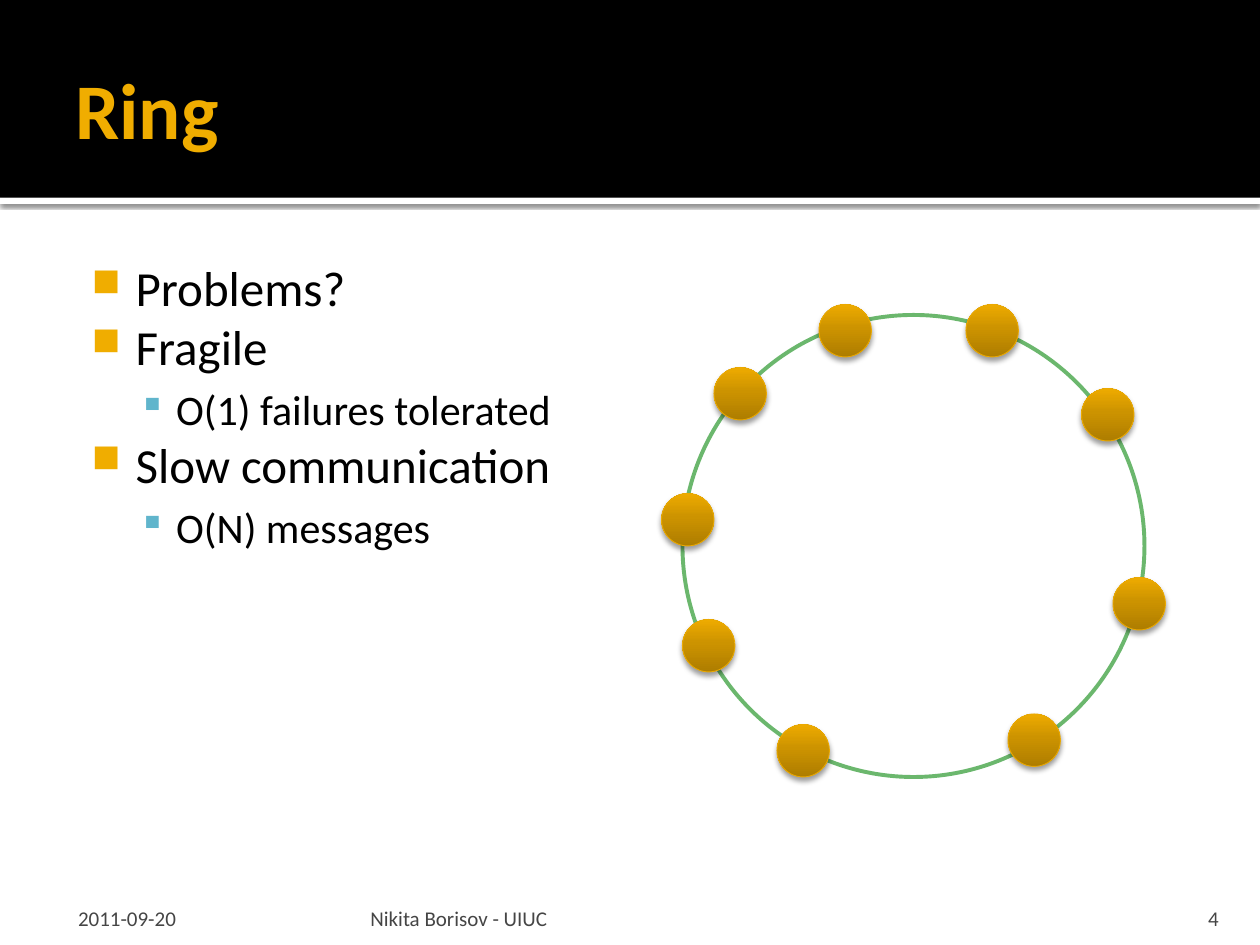
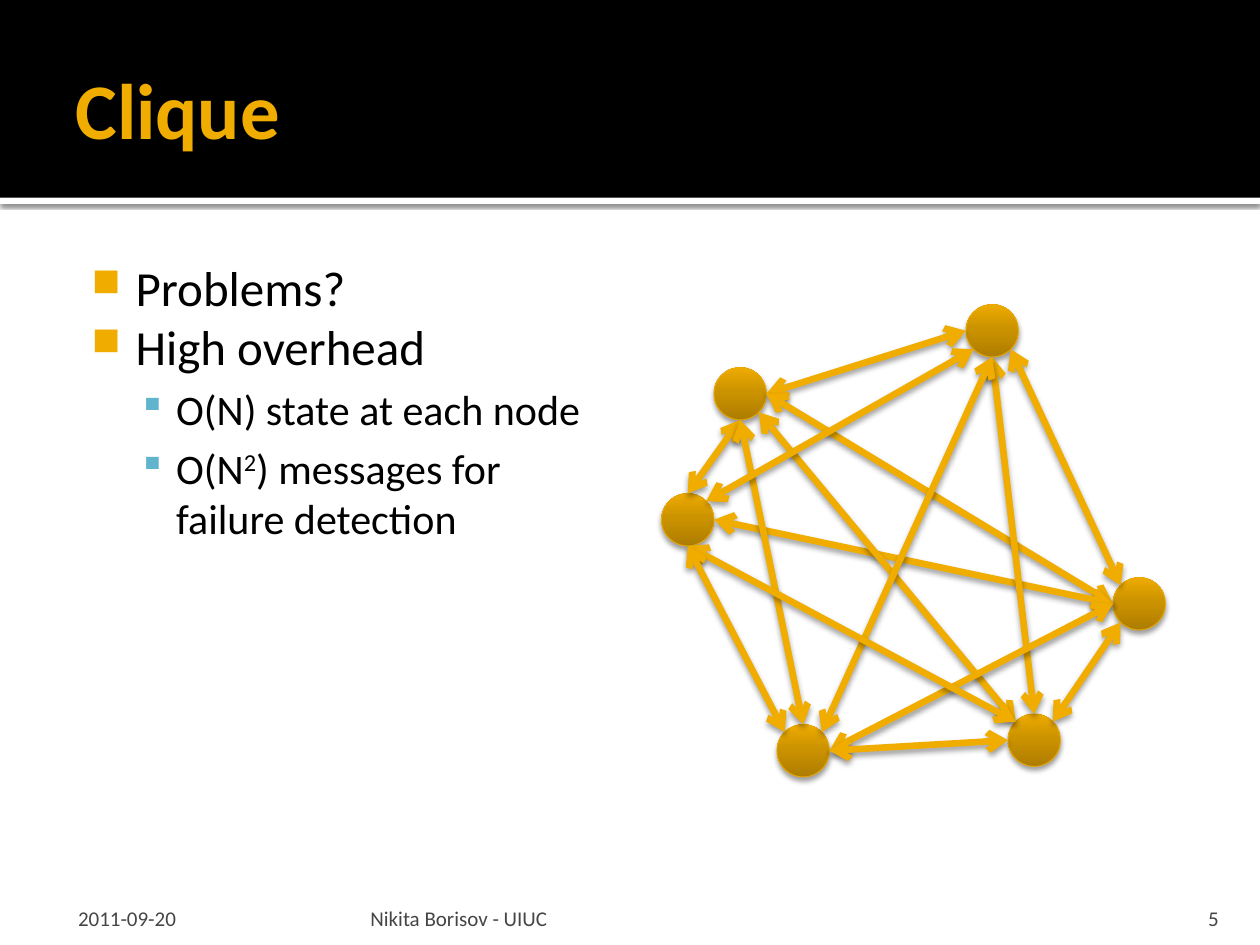
"""Build two slides on group topologies: a ring and a clique."""
import math
from dataclasses import dataclass

from lxml import etree
from pptx import Presentation
from pptx import util as u
from pptx.dml import color as col
from pptx.enum import shapes as sh, text as tx
from pptx.oxml import ns

Pt = u.Pt


@dataclass(frozen=True)
class Theme:
    font: str = "Calibri"
    gold: str = "F0AD00"
    blue: str = "60B5CC"
    green: str = "6BB76D"
    black: str = "000000"
    white: str = "FFFFFF"
    gray: str = "454545"
    rim: str = "EBA900"
    shade: tuple = ((0, "AE7D00"), (55, "CC9300"), (100, "EEAB00"))
    title: int = 45
    foot: int = 12
    link: float = 3.78
    ring: float = 2.25
    edge: float = 0.5


T = Theme()

SIZE = (720, 540)
BAND = (0, 0, 720, 113)
STRIP = (0, 113, 720, 3.6)
TITLE = (36, 12, 648, 99)
BODY = (36, 140, 318, 364)
RING = (390, 180, 264, 264)
NODE = 30

LEVELS = [
    dict(size=28, left=34.5, hang=25.2, gap=0, mark="■", tint=T.gold, scale=80),
    dict(size=24, left=57.6, hang=21.6, gap=4.8, mark="▪", tint=T.blue, scale=90),
]

FOOT = [
    ("2011-09-20", (36, 510, 168, 21.6), (8.6, 3.6, 3.6, 0), tx.PP_ALIGN.LEFT),
    ("Nikita Borisov - UIUC", (208, 510, 433, 21.6), (3.6, 3.6, 3.6, 0), tx.PP_ALIGN.LEFT),
    ("{page}", (646, 510, 57.6, 21.6), (7.2, 3.6, 7.2, 0), tx.PP_ALIGN.RIGHT),
]

NODES = {
    "A": (408, 210), "B": (468, 174), "C": (552, 174),
    "D": (618, 222), "E": (636, 330), "F": (576, 408),
    "G": (378, 282), "H": (390, 354), "I": (444, 414),
}

SITES = ("e", "se", "s", "sw", "w", "nw", "n", "ne")

LINKS = [
    "A.e C.w", "A.e E.w", "G.e E.w", "A.s G.n", "A.se F.nw",
    "A.s I.n", "C.se E.nw", "C.s F.n", "C.s I.ne", "C.sw G.ne",
    "E.sw F.ne", "E.w I.e", "F.w I.e", "F.nw G.s", "I.nw G.s",
]

SLIDES = [
    dict(page=4, title="Ring", nodes="ABCDEFGHI", ring=True, links=[], points=[
        (0, "Problems?"),
        (0, "Fragile"),
        (1, "O(1) failures tolerated"),
        (0, "Slow communication"),
        (1, "O(N) messages"),
    ]),
    dict(page=5, title="Clique", nodes="ACEFGI", ring=False, links=LINKS, points=[
        (0, "Problems?"),
        (0, "High overhead"),
        (1, "O(N) state at each node"),
        (1, "O(N|2|) messages for failure detection"),
    ]),
]


def rgb(tint):
    return col.RGBColor.from_string(tint)


def pts(box):
    return [Pt(v) for v in box]


def sub(node, tag, **attrs):
    kid = etree.SubElement(node, ns.qn("a:" + tag))
    for key, val in attrs.items():
        kid.set(key, str(val))
    return kid


def cast(props, alpha, blur, dist):
    """Add a soft shadow that falls straight down."""
    for old in props.findall(ns.qn("a:effectLst")):
        props.remove(old)
    drop = sub(sub(props, "effectLst"), "outerShdw", blurRad=Pt(blur), dist=Pt(dist),
               dir=90 * 60000, algn="ctr", rotWithShape=0)
    sub(sub(drop, "srgbClr", val=T.black), "alpha", val=alpha * 1000)


def form(slide, kind, box, fill=None, line=None, width=0):
    item = slide.shapes.add_shape(kind, *pts(box))
    item.shadow.inherit = False
    if fill:
        item.fill.solid()
        item.fill.fore_color.rgb = rgb(fill)
    else:
        item.fill.background()
    if line:
        item.line.color.rgb = rgb(line)
        item.line.width = Pt(width)
    else:
        item.line.fill.background()
    return item


def frame(slide, box, pads, anchor):
    area = slide.shapes.add_textbox(*pts(box)).text_frame
    area.word_wrap = True
    area.vertical_anchor = anchor
    (area.margin_left, area.margin_top,
     area.margin_right, area.margin_bottom) = pts(pads)
    return area


def style(para, size, tint, bold=False):
    for run in para.runs:
        run.font.name = T.font
        run.font.size = Pt(size)
        run.font.bold = bold
        run.font.color.rgb = rgb(tint)


def base(slide, title, page):
    """Draw the band, the title and the footers."""
    rect = sh.MSO_SHAPE.RECTANGLE
    cast(form(slide, rect, STRIP, T.white).element.spPr, 60, 2.5, 0.8)
    form(slide, rect, BAND, T.black)
    area = frame(slide, TITLE, (7.2, 3.6, 3.6, 3.6), tx.MSO_ANCHOR.MIDDLE)
    area.text = title
    style(area.paragraphs[0], T.title, T.gold, True)
    for words, box, pads, align in FOOT:
        area = frame(slide, box, pads, tx.MSO_ANCHOR.BOTTOM)
        area.text = words.format(page=page)
        para = area.paragraphs[0]
        para.alignment = align
        style(para, T.foot, T.gray)


def bullets(slide, points):
    area = frame(slide, BODY, (7.2, 7.2, 7.2, 3.6), tx.MSO_ANCHOR.TOP)
    for num, (depth, words) in enumerate(points):
        look = LEVELS[depth]
        para = area.add_paragraph() if num else area.paragraphs[0]
        para.level = depth
        para.space_before = Pt(look["gap"])
        parts = words.split("|")
        para.text = parts[0]
        for part in parts[1:]:
            para.add_run().text = part
        style(para, look["size"], T.black)
        for run in para.runs[1::2]:
            run.font._element.set("baseline", "30000")
        props = para._p.get_or_add_pPr()
        props.set("marL", str(Pt(look["left"])))
        props.set("indent", str(-Pt(look["hang"])))
        sub(sub(props, "buClr"), "srgbClr", val=look["tint"])
        sub(props, "buSzPct", val=look["scale"] * 1000)
        sub(props, "buChar", char=look["mark"])


def ball(slide, spot):
    item = form(slide, sh.MSO_SHAPE.OVAL, (*spot, NODE, NODE), None, T.rim, T.edge)
    item.fill.gradient()
    item.fill.gradient_angle = 90
    props = item.element.spPr
    stops = props.find(".//" + ns.qn("a:gsLst"))
    for old in list(stops):
        stops.remove(old)
    for place, tint in T.shade:
        sub(sub(stops, "gs", pos=place * 1000), "srgbClr", val=tint)
    cast(props, 38, 3.1, 2)


def site(end):
    """Return the point on a node's rim, such as "A.se"."""
    name, side = end.split(".")
    turn = math.radians(45 * SITES.index(side))
    left, top = NODES[name]
    half = NODE / 2
    return left + half + half * math.cos(turn), top + half + half * math.sin(turn)


def join(slide, link):
    start, stop = map(site, link.split())
    line = slide.shapes.add_connector(sh.MSO_CONNECTOR.STRAIGHT, *pts(start + stop))
    line.line.color.rgb = rgb(T.gold)
    line.line.width = Pt(T.link)
    props = line._element.spPr
    for tag in ("headEnd", "tailEnd"):
        sub(props.find(ns.qn("a:ln")), tag, type="arrow")
    cast(props, 38, 3.5, 2)


def main():
    deck = Presentation()
    deck.slide_width, deck.slide_height = pts(SIZE)
    for data in SLIDES:
        slide = deck.slides.add_slide(deck.slide_layouts[6])
        base(slide, data["title"], data["page"])
        bullets(slide, data["points"])
        if data["ring"]:
            form(slide, sh.MSO_SHAPE.OVAL, RING, None, T.green, T.ring)
        for name in data["nodes"]:
            ball(slide, NODES[name])
        for link in data["links"]:
            join(slide, link)
    deck.save("out.pptx")


if __name__ == "__main__":
    main()
